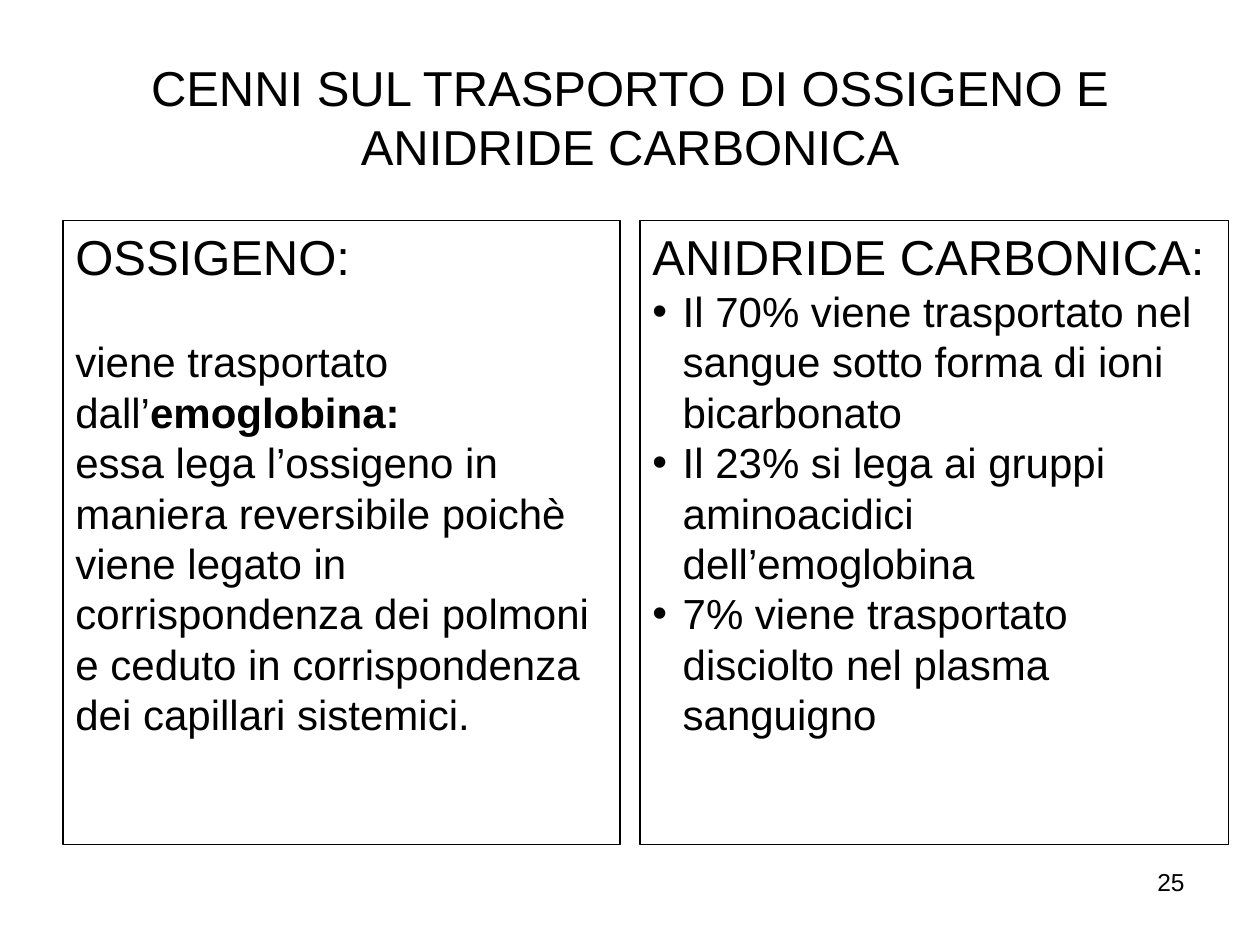
from dataclasses import dataclass

from lxml import etree
from pptx import Presentation
from pptx import util as u
from pptx.dml.color import RGBColor
from pptx.enum import shapes, text
from pptx.oxml.ns import qn


@dataclass(frozen=True)
class Theme:
    font: str = "Arial"
    ink: RGBColor = RGBColor(0, 0, 0)
    paper: RGBColor = RGBColor(255, 255, 255)
    heading: int = 28
    body: int = 24
    number: int = 14
    leading: float = 1.2
    border: float = 0.75
    indent: float = 0.24


class SlideBuilder:
    def __init__(self, slide, theme):
        self.slide, self.theme = slide, theme
        slide.background.fill.solid()
        slide.background.fill.fore_color.rgb = theme.paper

    def format(self, paragraph, size, align=text.PP_ALIGN.LEFT, before=0):
        paragraph.alignment = align
        paragraph.line_spacing = u.Pt(size * self.theme.leading)
        paragraph.space_before = u.Pt(before)
        for run in paragraph.runs:
            run.font.size = u.Pt(size)
            run.font.name = self.theme.font
            run.font.color.rgb = self.theme.ink

    def bullet(self, paragraph):
        indent = u.Inches(self.theme.indent)
        properties = paragraph._p.get_or_add_pPr()
        properties.set("marL", str(indent))
        properties.set("indent", str(-indent))
        etree.SubElement(properties, qn("a:buFont"), typeface=self.theme.font)
        etree.SubElement(properties, qn("a:buChar"), char="•")

    def label(self, words, area, size, align, anchor=text.MSO_ANCHOR.TOP):
        frame = self.slide.shapes.add_textbox(*map(u.Inches, area)).text_frame
        frame.word_wrap = True
        frame.vertical_anchor = anchor
        frame.text = words
        self.format(frame.paragraphs[0], size, align)

    def panel(self, heading, area):
        """Draw an outlined box with its heading and return its text frame."""
        box = self.slide.shapes.add_shape(
            shapes.MSO_SHAPE.RECTANGLE, *map(u.Inches, area))
        box.shadow.inherit = False
        box.fill.background()
        box.line.color.rgb = self.theme.ink
        box.line.width = u.Pt(self.theme.border)
        frame = box.text_frame
        frame.word_wrap = True
        frame.vertical_anchor = text.MSO_ANCHOR.TOP
        frame.text = heading
        self.format(frame.paragraphs[0], self.theme.heading, before=7)
        return frame

    def body(self, frame, words, bold_tail="", before=0, bulleted=False):
        paragraph = frame.add_paragraph()
        paragraph.text = words
        if bold_tail:
            tail = paragraph.add_run()
            tail.text = bold_tail
            tail.font.bold = True
        self.format(paragraph, self.theme.body, before=before)
        if bulleted:
            self.bullet(paragraph)


def main():
    deck = Presentation()
    deck.slide_width, deck.slide_height = u.Inches(10), u.Inches(7.5)
    theme = Theme()
    page = SlideBuilder(deck.slides.add_slide(deck.slide_layouts[6]), theme)

    page.label("CENNI SUL TRASPORTO DI OSSIGENO E ANIDRIDE CARBONICA",
               (0.5, 0.3, 9, 1.25), theme.heading,
               text.PP_ALIGN.CENTER, text.MSO_ANCHOR.MIDDLE)

    top, height = 1.75, 4.95
    oxygen = page.panel("OSSIGENO:", (0.5, top, 4.42, height))
    page.body(oxygen, "viene trasportato dall’", "emoglobina:",
              before=theme.body * theme.leading)
    page.body(oxygen, "essa lega l’ossigeno in maniera reversibile poichè "
                      "viene legato in corrispondenza dei polmoni e ceduto "
                      "in corrispondenza dei capillari sistemici.")

    carbon_dioxide = page.panel("ANIDRIDE CARBONICA:",
                                (5.08, top, 4.67, height))
    for share in (
        "Il 70% viene trasportato nel sangue sotto forma di ioni bicarbonato",
        "Il 23% si lega ai gruppi aminoacidici dell’emoglobina",
        "7% viene trasportato disciolto nel plasma sanguigno",
    ):
        page.body(carbon_dioxide, share, bulleted=True)

    page.label("25", (7.17, 6.83, 2.33, 0.52), theme.number,
               text.PP_ALIGN.RIGHT)
    deck.save("out.pptx")


if __name__ == "__main__":
    main()
